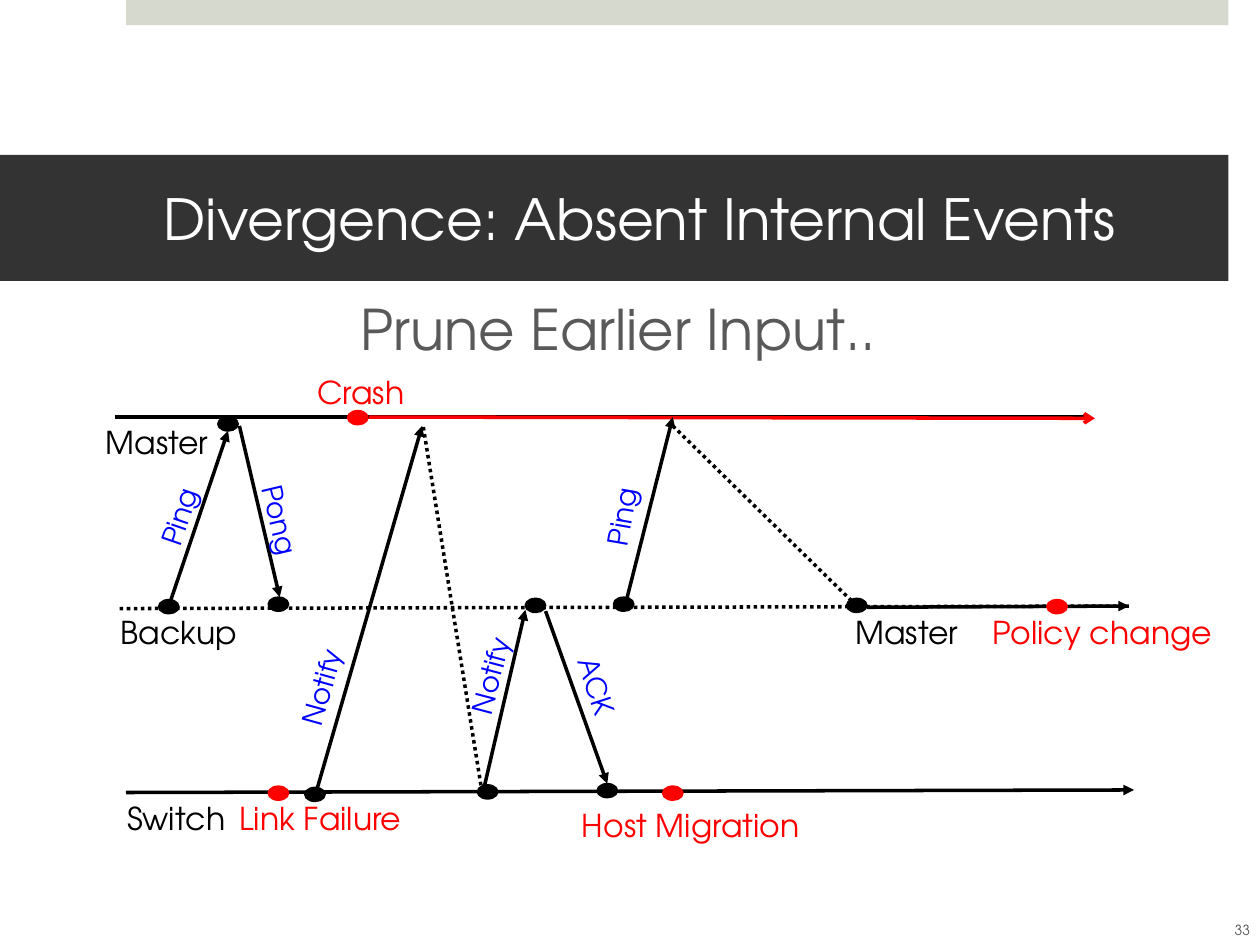
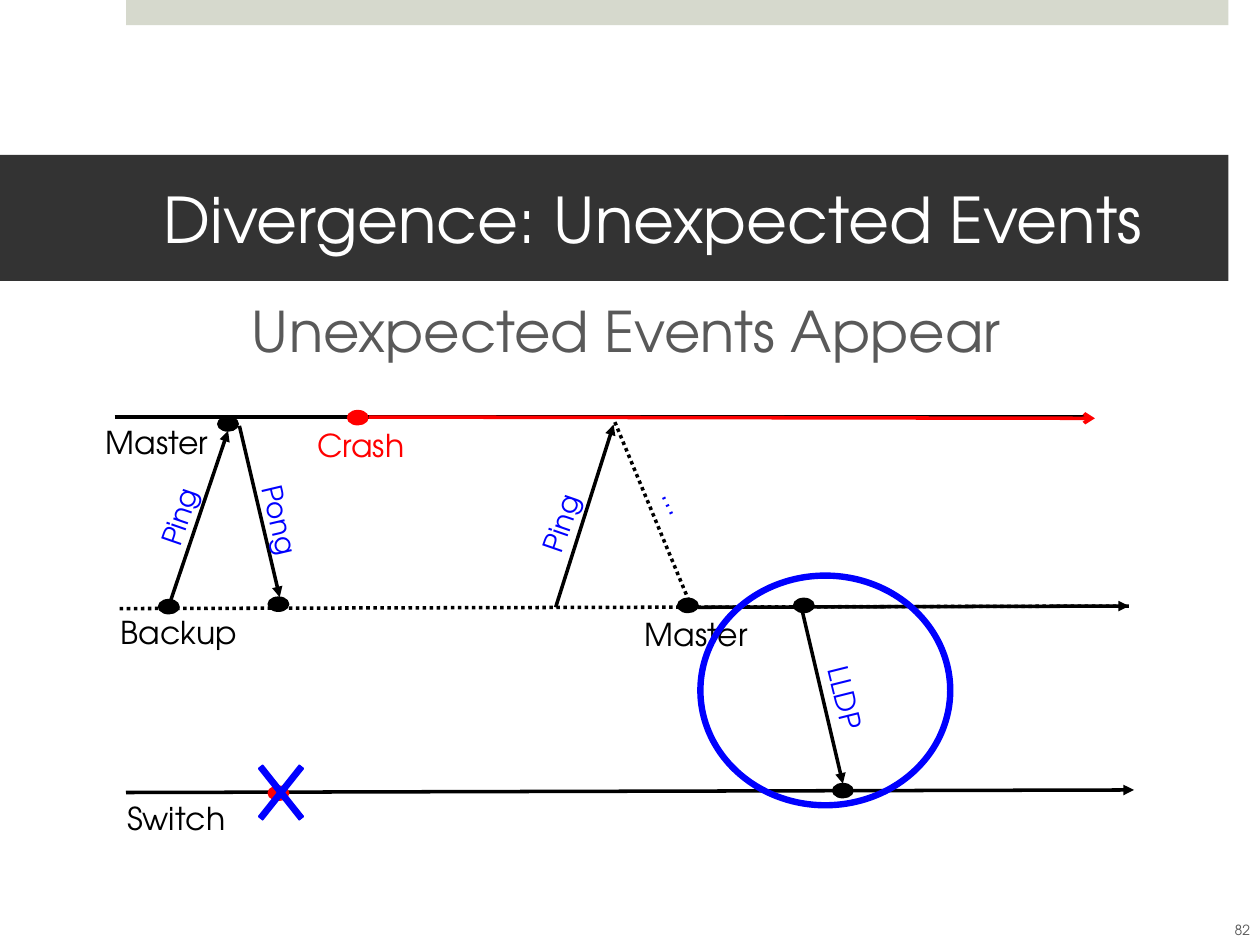
from dataclasses import dataclass

from lxml import etree
from pptx import Presentation
from pptx import util as u
from pptx.dml import color
from pptx.enum import dml, shapes, text
from pptx.oxml import ns

KINDS = shapes.MSO_SHAPE


def rgb(value):
    return color.RGBColor.from_string(value)


@dataclass(frozen=True)
class Theme:
    font: str = "TeX Gyre Adventor"
    white: str = "FFFFFF"
    band: str = "D6D9CD"
    title_band: str = "333333"
    gray: str = "595959"
    black: str = "000000"
    red: str = "FF0000"
    blue: str = "0000FF"
    heading_size: float = 32
    label_size: float = 18
    message_size: float = 16
    number_size: float = 8
    stroke: float = 2
    outline: float = 1
    dot_width: float = 0.16
    dot_height: float = 0.11


THEME = Theme()


def apply(target, values):
    for name, value in values.items():
        setattr(target, name, value)


class Painter:
    def __init__(self, deck, theme):
        self.deck, self.theme, self.page = deck, theme, None

    def new_page(self):
        self.page = self.deck.slides.add_slide(self.deck.slide_layouts[6])

    def put_words(self, box, words, size, ink, frame=None, paragraph=None):
        apply(box.text_frame, frame or {})
        para = box.text_frame.paragraphs[0]
        apply(para, paragraph or {"alignment": text.PP_ALIGN.LEFT})
        span = para.add_run()
        span.text = words
        apply(span.font, {"name": self.theme.font, "size": u.Pt(size)})
        span.font.color.rgb = rgb(ink)

    def shape(self, kind, place, fill, outlined=True, adjust=None):
        item = self.page.shapes.add_shape(kind, *map(u.Inches, place))
        item.shadow.inherit = False
        item.fill.solid()
        item.fill.fore_color.rgb = rgb(fill)
        if outlined:
            item.line.color.rgb = rgb(fill)
            item.line.width = u.Pt(self.theme.outline)
        else:
            item.line.fill.background()
        if adjust is not None:
            item.adjustments[0] = adjust
        return item

    def text(self, words, place, size, ink, frame, paragraph=None, angle=0):
        box = self.page.shapes.add_textbox(*map(u.Inches, place))
        box.rotation = angle
        self.put_words(box, words, size, ink, frame, paragraph)

    def label(self, words, left, top, width, ink=THEME.black):
        """Upright name of a timeline or an event."""
        self.text(words, (left, top, width, 0.4), self.theme.label_size, ink,
                  {"word_wrap": False})

    def message(self, words, left, top, width, angle):
        """Blue name turned to run along a message arrow."""
        self.text(words, (left, top, width, 0.37), self.theme.message_size,
                  self.theme.blue, {"word_wrap": False}, angle=angle)

    def dot(self, left, top, ink=THEME.black):
        self.shape(KINDS.OVAL, (left, top, self.theme.dot_width,
                                self.theme.dot_height), ink)

    def line(self, start, end, ink=THEME.black, head="triangle", dotted=False):
        item = self.page.shapes.add_connector(
            shapes.MSO_CONNECTOR.STRAIGHT, *map(u.Inches, (*start, *end)))
        item.line.color.rgb = rgb(ink)
        item.line.width = u.Pt(self.theme.stroke)
        if dotted:
            item.line.dash_style = dml.MSO_LINE.ROUND_DOT
        properties = item.element.spPr
        if head:
            stroke = properties.find(ns.qn("a:ln"))
            etree.SubElement(stroke, ns.qn("a:tailEnd"), type=head)
        etree.SubElement(properties, ns.qn("a:effectLst"))

    def frame(self, title, title_size, heading, heading_at, number):
        """Bands, title, heading and page number."""
        theme = self.theme
        self.shape(KINDS.RECTANGLE, (1, 0, 8.75, 0.2), theme.band, False)
        band = self.shape(KINDS.RECTANGLE, (0, 1.23, 9.75, 1),
                          theme.title_band, False)
        self.put_words(band, title, title_size, theme.white, {
            "word_wrap": True,
            "vertical_anchor": text.MSO_ANCHOR.MIDDLE,
            "margin_left": u.Inches(1.3),
            "margin_right": u.Inches(0.3),
        })
        self.text(heading, (*heading_at, 10.44, 1.01), theme.heading_size,
                  theme.gray, {"word_wrap": True}, {"space_before": u.Pt(20)})
        self.text(number, (9.61, 7.18, 0.5, 0.4), theme.number_size, theme.gray,
                  {"word_wrap": True,
                   "vertical_anchor": text.MSO_ANCHOR.MIDDLE},
                  {"alignment": text.PP_ALIGN.CENTER})

    def timelines(self, crash_label_top, takeover):
        """Three timelines, the first ping and pong, the crash and the link
        failure; the backup becomes master at the takeover dot."""
        red = self.theme.red
        self.line((1, 6.29), (9, 6.27))
        self.line((0.91, 3.31), (8.63, 3.31), head=None)
        self.line((0.95, 4.83), (8.96, 4.81), dotted=True)
        self.label("Master", 0.74, 3.31, 1.03)
        self.label("Backup", 0.86, 4.82, 1.14)
        self.label("Switch", 0.91, 6.29, 0.99)

        self.line((1.34, 4.81), (1.81, 3.42))
        self.message("Ping", 1.09, 3.91, 0.67, 289.1)
        self.line((1.9, 3.38), (2.22, 4.74))
        self.message("Pong", 1.84, 3.95, 0.77, 76.7)
        for left, top in ((1.73, 3.31), (1.26, 4.76), (2.13, 4.74)):
            self.dot(left, top)

        self.line((2.93, 3.31), (8.69, 3.32), red, "arrow")
        self.label("Crash", 2.42, crash_label_top, 0.91, red)
        for left, top in ((2.76, 3.26), (2.13, 6.24)):
            self.dot(left, top, red)

        self.line((takeover + self.theme.dot_width, 4.82), (8.96, 4.81), head=None)
        self.dot(takeover, 4.75)


def absent_events(painter):
    red = painter.theme.red
    painter.new_page()
    painter.frame("Divergence: Absent Internal Events", 32.4,
                  "Prune Earlier Input..", (2.76, 2.29), "33")
    painter.timelines(crash_label_top=2.91, takeover=6.72)
    painter.label("Master", 6.69, 4.82, 1.03)

    for start, end in (((4.95, 4.85), (5.34, 3.31)), ((2.52, 6.25), (3.35, 3.38)),
                       ((4.33, 4.85), (4.82, 6.22)), ((3.84, 6.26), (4.17, 4.84))):
        painter.line(start, end)
    for start, end in (((3.36, 3.39), (3.82, 6.25)), ((5.34, 3.38), (6.8, 4.81))):
        painter.line(start, end, head=None, dotted=True)
    for message in (("Ping", 4.6, 3.91, 0.67, 279.8),
                    ("Notify", 2.14, 5.26, 0.83, 285.6),
                    ("Notify", 3.48, 5.17, 0.83, 284.8),
                    ("ACK", 4.4, 5.27, 0.68, 72)):
        painter.message(*message)
    for left, top in ((4.87, 4.74), (2.42, 6.25), (4.74, 6.22),
                      (4.17, 4.75), (3.79, 6.23)):
        painter.dot(left, top)

    for left, top in ((5.26, 6.24), (8.31, 4.76)):
        painter.dot(left, top, red)
    for name, left, top, width in (("Link Failure", 1.8, 6.29, 1.51),
                                   ("Policy change", 7.78, 4.82, 1.96),
                                   ("Host Migration", 4.52, 6.35, 1.95)):
        painter.label(name, left, top, width, red)


def unexpected_events(painter):
    blue = painter.theme.blue
    painter.new_page()
    painter.frame("Divergence: Unexpected Events", 36,
                  "Unexpected Events Appear", (1.9, 2.3), "82")
    painter.timelines(crash_label_top=3.33, takeover=5.38)
    painter.label("Master", 5.02, 4.83, 1.03)

    painter.line((4.41, 4.82), (4.87, 3.37))
    painter.message("Ping", 4.12, 3.96, 0.67, 289.1)
    painter.line((4.88, 3.35), (5.46, 4.75), head=None, dotted=True)
    painter.message("…", 5.16, 3.82, 0.43, 64.3)

    painter.line((6.37, 4.86), (6.69, 6.22))
    painter.message("LLDP", 6.36, 5.36, 0.71, 76)
    painter.dot(6.61, 6.22)
    painter.dot(6.3, 4.75)

    painter.shape(KINDS.MATH_MULTIPLY, (1.92, 5.9, 0.62, 0.78), blue, adjust=0.065)
    painter.shape(KINDS.DONUT, (5.54, 4.55, 2.02, 1.86), blue, adjust=0.02)


def main():
    deck = Presentation()
    apply(deck, {"slide_width": u.Inches(10), "slide_height": u.Inches(7.5)})
    painter = Painter(deck, THEME)
    absent_events(painter)
    unexpected_events(painter)
    deck.save("out.pptx")


if __name__ == "__main__":
    main()
